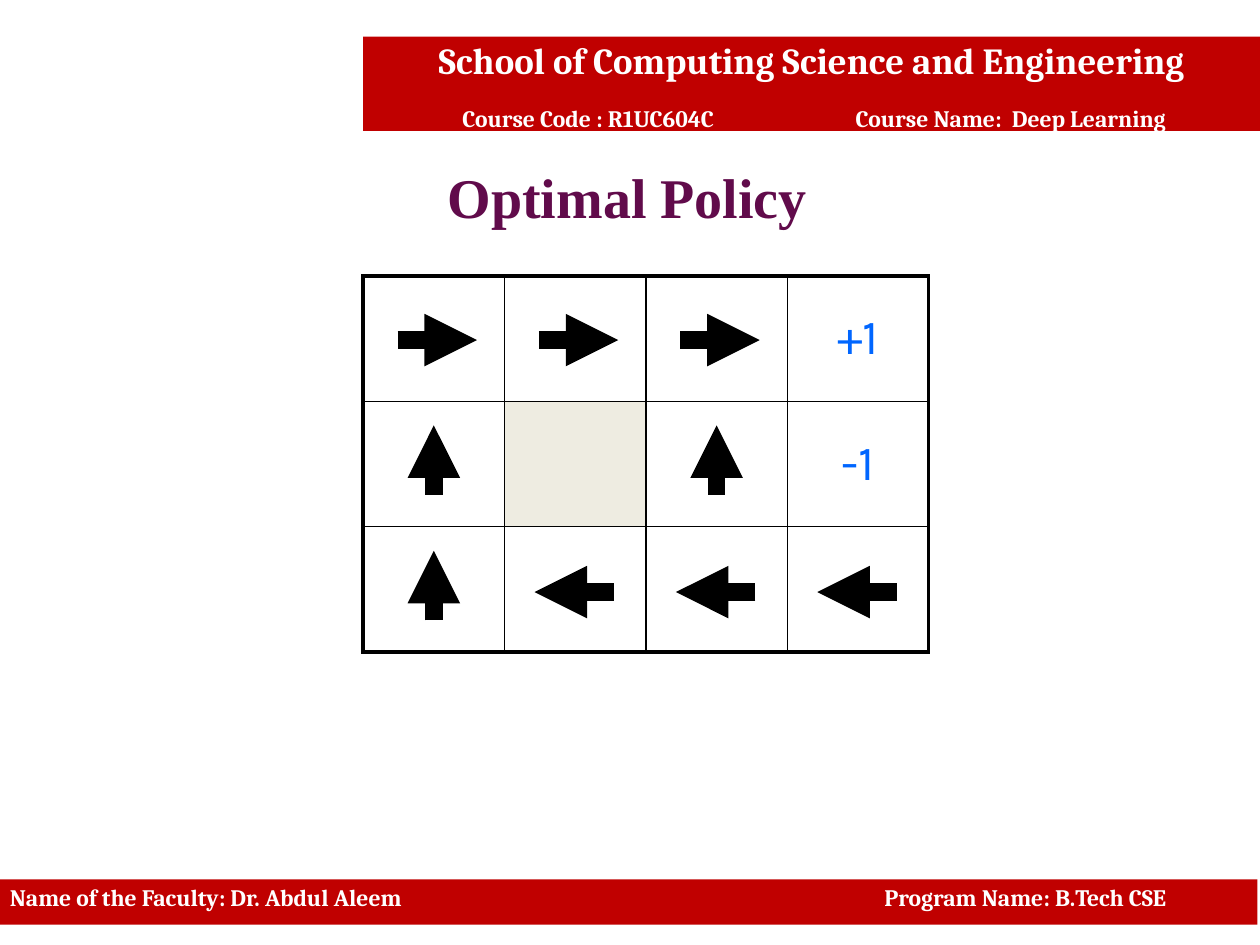
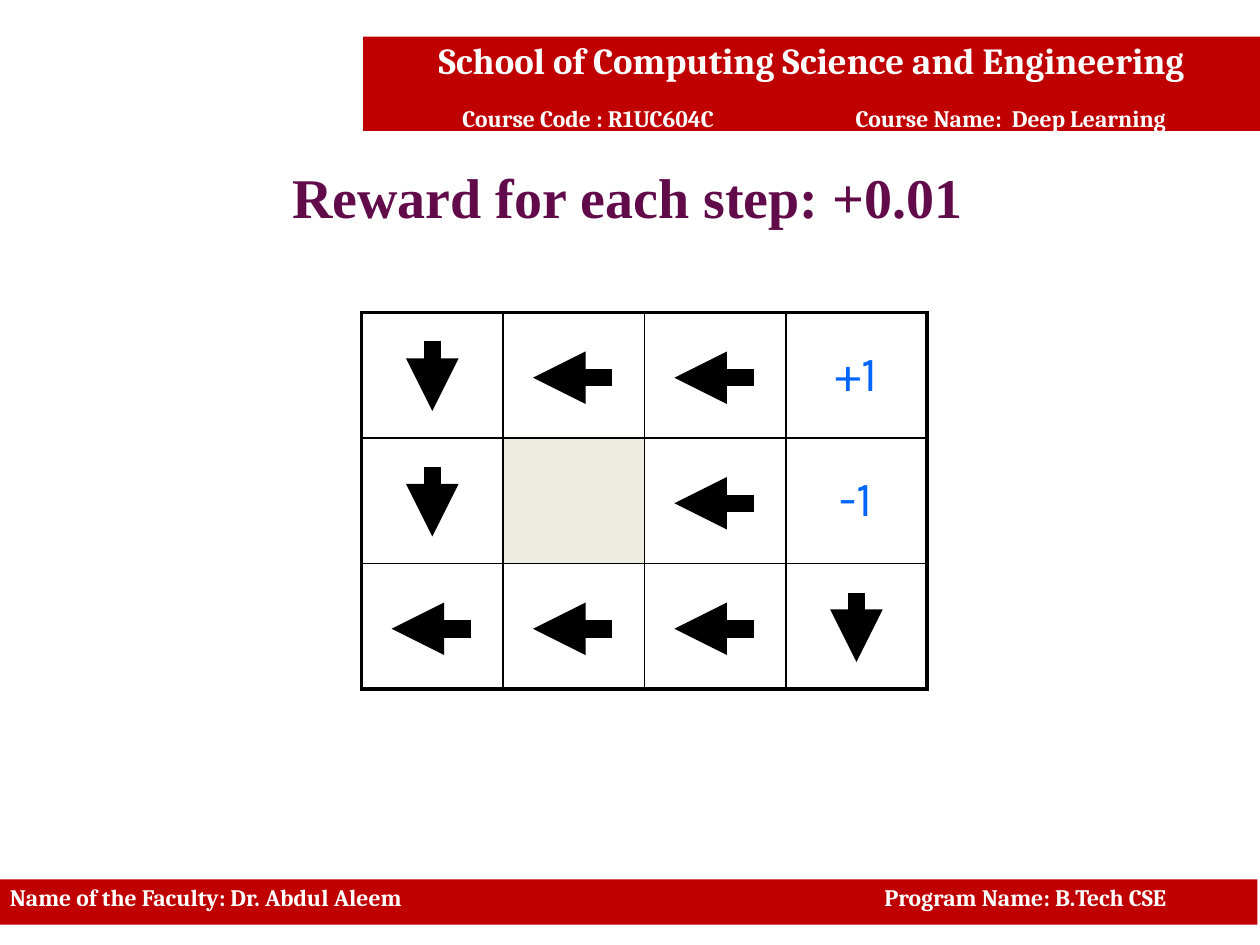
from lxml import etree
from pptx import Presentation
from pptx.dml.color import RGBColor
from pptx.enum.shapes import MSO_CONNECTOR, MSO_SHAPE
from pptx.enum.text import MSO_ANCHOR, PP_ALIGN
from pptx.oxml.ns import qn
from pptx.util import Cm, Pt

RECTANGLE = MSO_SHAPE.RECTANGLE
STRAIGHT = MSO_CONNECTOR.STRAIGHT
TOP, MIDDLE = MSO_ANCHOR.TOP, MSO_ANCHOR.MIDDLE
LEFT, CENTER = PP_ALIGN.LEFT, PP_ALIGN.CENTER

RED, WHITE, BLACK = "C00000", "FFFFFF", "000000"
PURPLE, BLUE, BEIGE = "610B4B", "0066FF", "EEECE1"

BANDS = [
    (7.32, 0.74, 18.08, 1.9, [
        ("School of Computing Science and Engineering", 21, CENTER, 0, []),
        ("\tCourse Code : R1UC604C\tCourse Name:  Deep Learning", 13.5, LEFT, 14.25, [1.75, 9.68]),
    ]),
    (-0.05, 17.73, 25.4, 0.91, [
        ("Name of the Faculty: Dr. Abdul Aleem\tProgram Name: B.Tech CSE", 13.5, LEFT, 0, [17.63]),
    ]),
]

COLUMN_WIDTH, ROW_HEIGHT = 2.85, 2.53
THIN, THICK = 1, 2.25
ARROWS = {
    "→": (0.8, 0, 0.07, 0.03),
    "←": (-0.8, 0, -0.02, 0.05),
    "↑": (0, -0.7, 0, -0.08),
    "↓": (0, 0.7, 0, 0.02),
}
WALL = "wall"
POLICIES = [
    ("Optimal Policy", 7.32, 5.56, [
        ["→", "→", "→", "+1"],
        ["↑", WALL, "↑", "-1"],
        ["↑", "←", "←", "←"],
    ]),
    ("Reward for each step: +0.01", 7.29, 6.3, [
        ["↓", "←", "←", "+1"],
        ["↓", WALL, "←", "-1"],
        ["←", "←", "←", "↓"],
    ]),
]


def color(value):
    return RGBColor.from_string(value)


def style(para, name, size, value, bold=False, align=CENTER):
    para.alignment = align
    para.font.name = name
    para.font.size = Pt(size)
    para.font.bold = bold
    para.font.color.rgb = color(value)


deck = Presentation()
deck.slide_width, deck.slide_height = Cm(25.4), Cm(19.05)

for title, grid_left, grid_top, grid in POLICIES:
    page = deck.slides.add_slide(deck.slide_layouts[6])

    for left, top, width, height, lines in BANDS:
        band = page.shapes.add_shape(RECTANGLE, Cm(left), Cm(top), Cm(width), Cm(height))
        band.shadow.inherit = False
        band.fill.solid()
        band.fill.fore_color.rgb = color(RED)
        band.line.fill.background()
        frame = band.text_frame
        frame.word_wrap = True
        frame.vertical_anchor = TOP
        for index, (text, size, align, gap, stops) in enumerate(lines):
            para = frame.add_paragraph() if index else frame.paragraphs[0]
            para.text = text
            if stops:
                tabs = etree.SubElement(para._p.get_or_add_pPr(), qn("a:tabLst"))
                for stop in stops:
                    etree.SubElement(tabs, qn("a:tab"), pos=str(Cm(stop)), algn="l")
            para.line_spacing = 0.9
            if gap:
                para.space_before = Pt(gap)
            style(para, "Cambria", size, WHITE, True, align)

    box = page.shapes.add_textbox(Cm(1.22), Cm(2.36), Cm(22.86), Cm(3.18))
    box.text_frame.word_wrap = True
    box.text_frame.vertical_anchor = MIDDLE
    para = box.text_frame.paragraphs[0]
    para.text = title
    style(para, "Times New Roman", 32, PURPLE, True)

    row_count, column_count = len(grid), len(grid[0])
    table = page.shapes.add_table(
        row_count, column_count, Cm(grid_left), Cm(grid_top),
        Cm(COLUMN_WIDTH * column_count), Cm(ROW_HEIGHT * row_count),
    ).table
    table.first_row = table.horz_banding = False
    for column in table.columns:
        column.width = Cm(COLUMN_WIDTH)
    for row in table.rows:
        row.height = Cm(ROW_HEIGHT)

    for row_index, states in enumerate(grid):
        for column_index, state in enumerate(states):
            cell = table.cell(row_index, column_index)
            cell.vertical_anchor = MIDDLE
            if state == WALL:
                cell.fill.solid()
                cell.fill.fore_color.rgb = color(BEIGE)
            else:
                cell.fill.background()

            outer_edges = {
                "a:lnL": column_index == 0,
                "a:lnR": column_index == column_count - 1,
                "a:lnT": row_index == 0,
                "a:lnB": row_index == row_count - 1,
            }
            properties = cell._tc.get_or_add_tcPr()
            for position, (edge, is_outer) in enumerate(outer_edges.items()):
                border = etree.Element(qn(edge), w=str(Pt(THICK if is_outer else THIN)))
                fill = etree.SubElement(border, qn("a:solidFill"))
                etree.SubElement(fill, qn("a:srgbClr"), val=BLACK)
                properties.insert(position, border)

            if state in ARROWS:
                run_x, run_y, shift_x, shift_y = ARROWS[state]
                center_x = grid_left + (column_index + 0.5) * COLUMN_WIDTH + shift_x
                center_y = grid_top + (row_index + 0.5) * ROW_HEIGHT + shift_y
                arrow = page.shapes.add_connector(
                    STRAIGHT, Cm(center_x - run_x), Cm(center_y - run_y),
                    Cm(center_x + run_x), Cm(center_y + run_y),
                )
                arrow.line.width = Pt(10)
                arrow.line.color.rgb = color(BLACK)
                etree.SubElement(arrow.line._get_or_add_ln(), qn("a:tailEnd"), type="triangle")
                etree.SubElement(arrow._element.spPr, qn("a:effectLst"))
            elif state != WALL:
                para = cell.text_frame.paragraphs[0]
                para.text = state
                style(para, "Karla", 28, BLUE)

deck.save("out.pptx")
